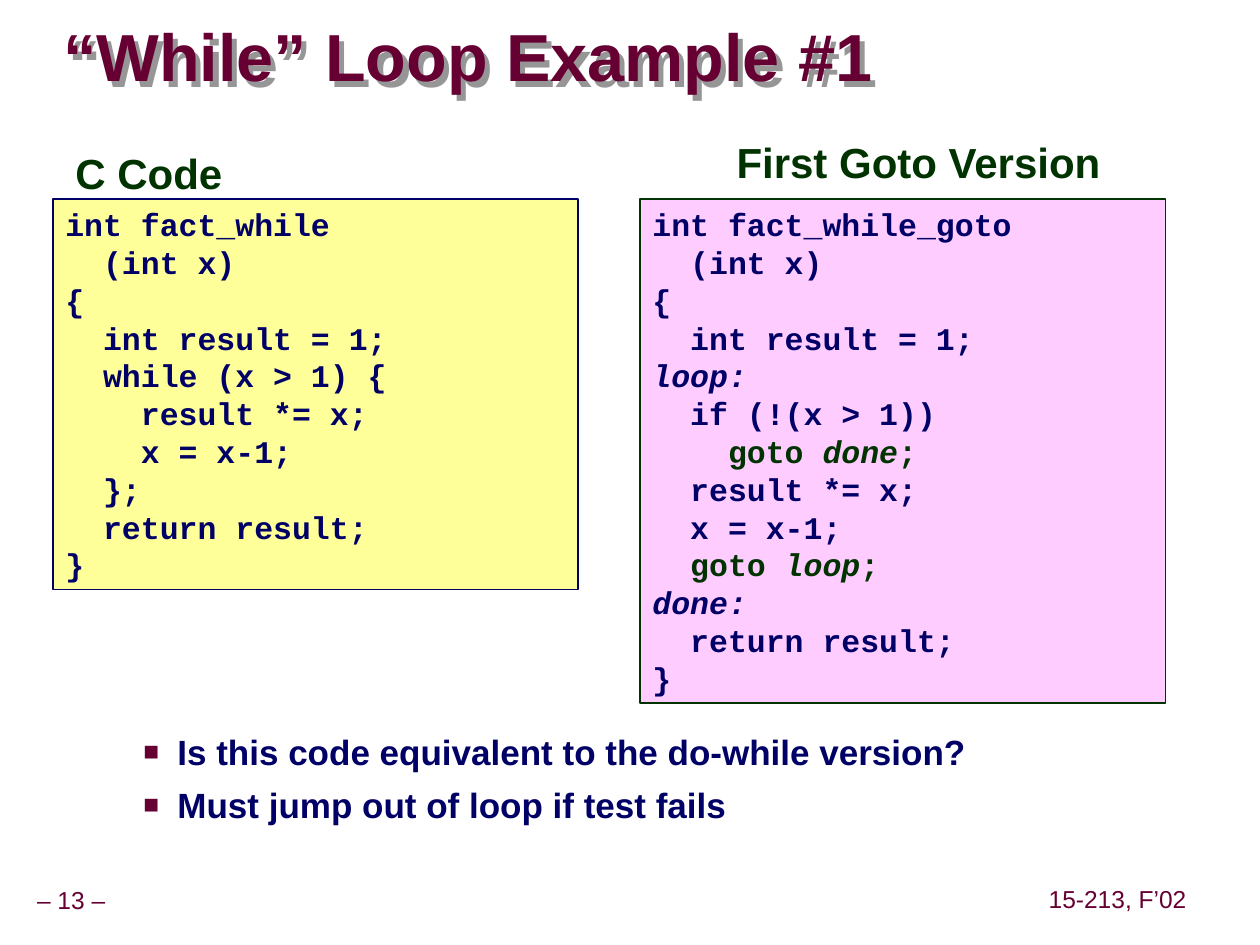
from lxml import etree
from pptx import Presentation
from pptx import util as u
from pptx.dml.color import RGBColor
from pptx.enum import shapes, text
from pptx.oxml import ns

COLORS = {"maroon": "660033", "navy": "000066", "green": "003300",
          "yellow": "FFFF99", "pink": "FFCCFF", "shadow": "969696"}

FORMATS = {
    "title": {"size": u.Pt(38), "name": "Arial", "bold": True, "color": "maroon"},
    "heading": {"size": u.Pt(24), "name": "Arial", "bold": True, "color": "green"},
    "code": {"size": u.Pt(18), "name": "Courier New", "bold": True, "color": "navy"},
    "bullet": {"size": u.Pt(20), "name": "Arial", "bold": True, "color": "navy"},
    "footer": {"size": u.Pt(14), "name": "Arial", "color": "maroon"},
}
FORMATS["label"] = {**FORMATS["code"], "italic": True}
FORMATS["jump"] = {**FORMATS["code"], "color": "green"}
FORMATS["target"] = {**FORMATS["jump"], "italic": True}

C_CODE = """int fact_while
  (int x)
{
  int result = 1;
  while (x > 1) {
    result *= x;
    x = x-1;
  };
  return result;
}""".split("\n")

GOTO_CODE = [
    "int fact_while_goto",
    "  (int x)",
    "{",
    "  int result = 1;",
    [("loop:", "label")],
    "  if (!(x > 1))",
    [("    ", "code"), ("goto", "jump"), (" done", "target"), (";", "jump")],
    "  result *= x;",
    "  x = x-1;",
    [("  ", "code"), ("goto", "jump"), (" loop", "target"), (";", "jump")],
    [("done:", "label")],
    "  return result;",
    "}",
]

QUESTIONS = ["Is this code equivalent to the do-while version?",
             "Must jump out of loop if test fails"]


def rgb(color):
    return RGBColor.from_string(COLORS[color])


def add_xml(parent, tag, **attributes):
    return etree.SubElement(parent, ns.qn(tag), attributes)


def add_run(paragraph, words, style):
    run = paragraph.add_run()
    run.text = words
    for key, value in FORMATS[style].items():
        if key == "color":
            run.font.color.rgb = rgb(value)
        else:
            setattr(run.font, key, value)


def set_frame(frame, **values):
    defaults = {"word_wrap": True, "vertical_anchor": text.MSO_ANCHOR.TOP,
                "margin_left": u.Inches(0.1), "margin_right": u.Inches(0.1),
                "margin_top": u.Inches(0.05), "margin_bottom": u.Inches(0.05)}
    for key, value in {**defaults, **values}.items():
        setattr(frame, key, value)


def set_indent(paragraph, left, hanging):
    properties = paragraph._p.get_or_add_pPr()
    properties.set("marL", str(u.Inches(left)))
    properties.set("indent", str(-u.Inches(hanging)))
    return properties


def add_text(slide, place, **frame_values):
    box = slide.shapes.add_textbox(*map(u.Inches, place))
    set_frame(box.text_frame, **frame_values)
    return box


def add_title(slide, words):
    margins = dict.fromkeys(
        ("margin_left", "margin_right", "margin_top", "margin_bottom"), 0)
    title = add_text(slide, (0.5, 0.17, 7.61, 0.63),
                     vertical_anchor=text.MSO_ANCHOR.MIDDLE, **margins)
    paragraph = title.text_frame.paragraphs[0]
    paragraph.line_spacing = 0.87
    add_run(paragraph, words, "title")
    effects = add_xml(title._element.spPr, "a:effectLst")
    shadow = add_xml(effects, "a:outerShdw", dist=str(u.Inches(0.06)),
                     dir="2700000", algn="ctr", rotWithShape="0")
    add_xml(shadow, "a:srgbClr", val=COLORS["shadow"])


def add_heading(slide, place, words, align):
    paragraph = add_text(slide, place).text_frame.paragraphs[0]
    set_indent(paragraph, 0.24, 0.24)
    paragraph.alignment = align
    paragraph.line_spacing = 0.9
    add_run(paragraph, words, "heading")


def add_code(slide, left, height, lines, fill, border):
    panel = slide.shapes.add_shape(
        shapes.MSO_SHAPE.RECTANGLE,
        *map(u.Inches, (left, 1.58, 4.17, height)))
    panel.shadow.inherit = False
    panel.fill.solid()
    panel.fill.fore_color.rgb = rgb(fill)
    panel.line.color.rgb = rgb(border)
    panel.line.width = u.Pt(1)
    frame = panel.text_frame
    set_frame(frame, auto_size=text.MSO_AUTO_SIZE.SHAPE_TO_FIT_TEXT)
    for index, line in enumerate(lines):
        paragraph = frame.add_paragraph() if index else frame.paragraphs[0]
        paragraph.alignment = text.PP_ALIGN.LEFT
        for words, style in [(line, "code")] if isinstance(line, str) else line:
            add_run(paragraph, words, style)


def add_bullets(slide, place, items):
    frame = add_text(slide, place).text_frame
    for index, item in enumerate(items):
        paragraph = frame.add_paragraph() if index else frame.paragraphs[0]
        paragraph.level = 1
        if index:
            paragraph.space_before = u.Pt(6.2)
        properties = set_indent(paragraph, 0.81, 0.27)
        add_xml(add_xml(properties, "a:buClr"), "a:srgbClr", val=COLORS["maroon"])
        add_xml(properties, "a:buSzPct", val="75000")
        add_xml(properties, "a:buFont", typeface="Arial")
        add_xml(properties, "a:buChar", char="■")
        add_run(paragraph, item, "bullet")


def add_footer(slide, place, words):
    margins = dict.fromkeys(("margin_left", "margin_right"), u.Inches(0.05))
    footer = add_text(slide, place, word_wrap=False,
                      vertical_anchor=text.MSO_ANCHOR.MIDDLE,
                      auto_size=text.MSO_AUTO_SIZE.SHAPE_TO_FIT_TEXT, **margins)
    paragraph = footer.text_frame.paragraphs[0]
    paragraph.alignment = text.PP_ALIGN.CENTER
    paragraph.line_spacing = 0.9
    add_run(paragraph, words, "footer")


def main():
    deck = Presentation()
    deck.slide_width, deck.slide_height = u.Inches(10), u.Inches(7.5)
    slide = deck.slides.add_slide(deck.slide_layouts[6])
    add_footer(slide, (-0.09, 7, 1.31, 0.31), "– 13 –")
    add_footer(slide, (8.27, 6.99, 1.2, 0.31), "15-213, F’02")
    add_heading(slide, (0.5, 1.17, 2.85, 0.45), "C Code", text.PP_ALIGN.LEFT)
    add_code(slide, 0.42, 3.1, C_CODE, "yellow", "navy")
    add_heading(slide, (5.58, 1.08, 3.42, 0.45), "First Goto Version",
                text.PP_ALIGN.CENTER)
    add_code(slide, 5.08, 4, GOTO_CODE, "pink", "green")
    add_title(slide, "“While” Loop Example #1")
    add_bullets(slide, (0.5, 5.75, 9.03, 1.42), QUESTIONS)
    deck.save("out.pptx")


if __name__ == "__main__":
    main()
